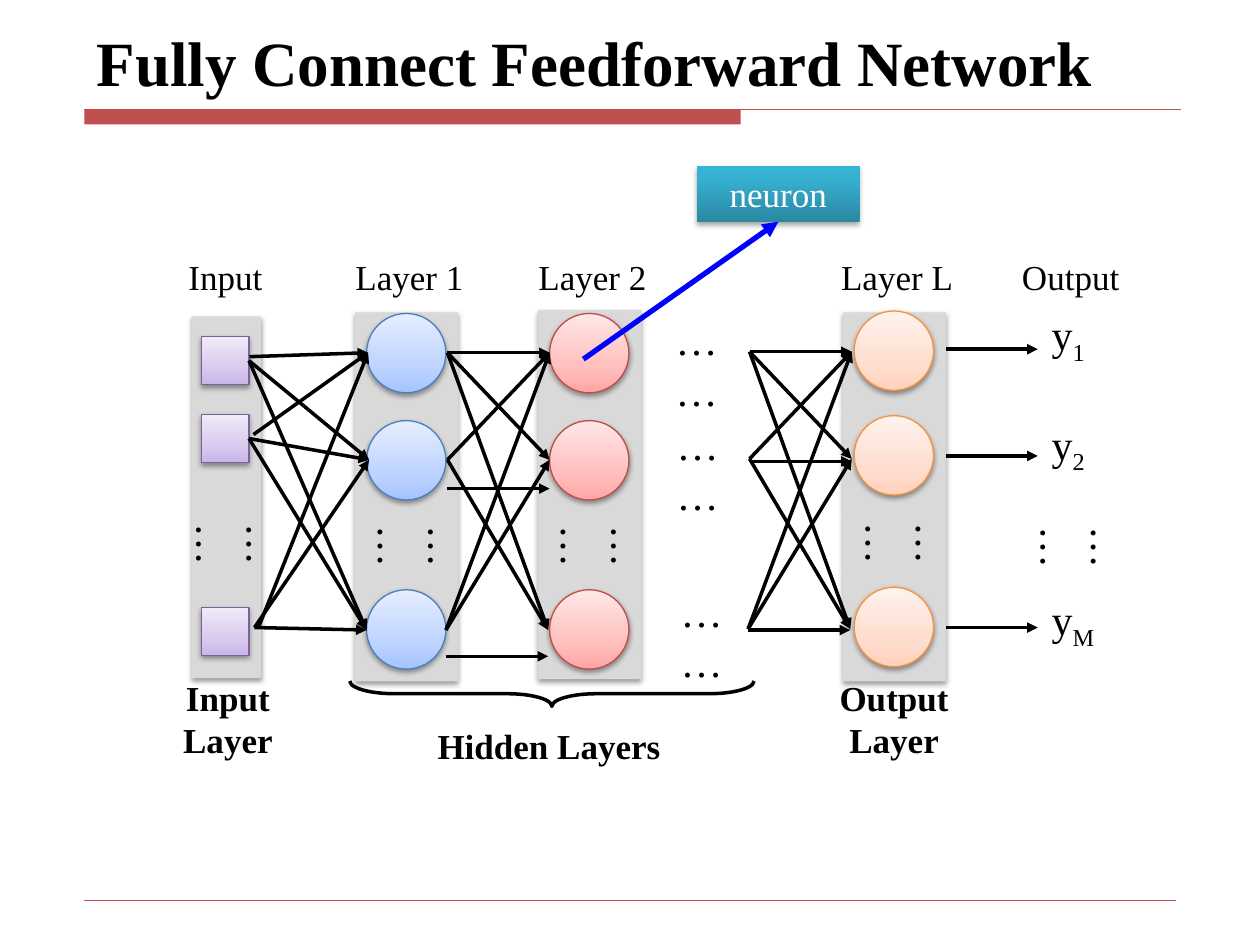
from copy import deepcopy
from itertools import product

from lxml import etree
from pptx import Presentation
from pptx import util as u
from pptx.dml.color import RGBColor
from pptx.enum import shapes as sh, text as t
from pptx.oxml.ns import qn

BLACK = RGBColor(0, 0, 0)
WHITE = RGBColor(255, 255, 255)
GREY = RGBColor(0xD9, 0xD9, 0xD9)
BRICK = RGBColor(0xC0, 0x50, 0x4D)
BLUE = RGBColor(0, 0, 0xFF)
VIOLET = [RGBColor(0xC9, 0xB5, 0xE8), RGBColor(0xD8, 0xCB, 0xEE), RGBColor(0xF0, 0xEA, 0xF9)]
SKY = [RGBColor(0xA4, 0xC4, 0xFF), RGBColor(0xBF, 0xD4, 0xFF), RGBColor(0xE6, 0xEE, 0xFF)]
ROSE = [RGBColor(0xFF, 0xA6, 0xA5), RGBColor(0xFF, 0xC0, 0xBF), RGBColor(0xFF, 0xE7, 0xE7)]
PEACH = [RGBColor(0xFF, 0xD2, 0xBD), RGBColor(0xFF, 0xDE, 0xD0), RGBColor(0xFF, 0xF2, 0xED)]
TEAL = [RGBColor(0x2A, 0x88, 0xA2), RGBColor(0x37, 0xB1, 0xD2), RGBColor(0x34, 0xB4, 0xD6)]
VIOLET_EDGE = RGBColor(0x7D, 0x60, 0xA0)
SKY_EDGE = RGBColor(0x4B, 0x7E, 0xBC)
ROSE_EDGE = RGBColor(0xBF, 0x4C, 0x48)
PEACH_EDGE = RGBColor(0xF6, 0x92, 0x40)

RECT = sh.MSO_SHAPE.RECTANGLE
OVAL = sh.MSO_SHAPE.OVAL
LABEL_TOP = 5.03


def cm(*vals):
    return [u.Cm(v) for v in vals]


def write(shape, words, sub="", align=t.PP_ALIGN.CENTER, **fmt):
    """Fill the shape with one paragraph, ending in an optional subscript."""
    frame = shape.text_frame
    frame.word_wrap = True
    para = frame.paragraphs[0]
    para.alignment = align
    look = {"name": "Times New Roman", "size": u.Pt(20), "bold": False}
    look["size"] = u.Pt(fmt.pop("size", 20))
    look.update(fmt)
    color = look.pop("color", BLACK)
    for part in filter(None, (words, sub)):
        run = para.add_run()
        run.text = part
        for key, val in look.items():
            setattr(run.font, key, val)
        run.font.color.rgb = color
    if sub:
        run.font._element.set("baseline", "-25000")


def label(s, box, words, turn=0, **fmt):
    shape = s.shapes.add_textbox(*cm(*box))
    shape.rotation = turn
    write(shape, words, **fmt)
    return shape


def dots(s, x, y, turn=0):
    label(s, (x, y, 2.13, 2.31), "……", turn, size=24)


def blend(shape, tones, mid):
    """Three-stop gradient that runs from bottom to top."""
    shape.fill.gradient()
    shape.fill.gradient_angle = 90
    stops = shape._element.spPr.find(qn("a:gradFill")).find(qn("a:gsLst"))
    stops.insert(1, deepcopy(stops[0]))
    for stop, tone, pos in zip(shape.fill.gradient_stops, tones, (0, mid, 1)):
        stop.color.rgb = tone
        stop.position = pos


def shade(shape, alpha, dist):
    effects = shape._element.spPr.find(qn("a:effectLst"))
    cast = etree.SubElement(effects, qn("a:outerShdw"), blurRad=str(u.Pt(3.1)),
                            dist=str(u.Pt(dist)), dir="5400000", rotWithShape="0")
    tone = etree.SubElement(cast, qn("a:srgbClr"), val="000000")
    etree.SubElement(tone, qn("a:alpha"), val=str(alpha * 1000))


def block(s, kind, box, fill, edge=None, mid=0.35, alpha=38, dist=1.6):
    """Shadowed shape; fill is one colour or a list of gradient tones."""
    shape = s.shapes.add_shape(kind, *cm(*box))
    shape.shadow.inherit = False
    if isinstance(fill, list):
        blend(shape, fill, mid)
    else:
        shape.fill.solid()
        shape.fill.fore_color.rgb = fill
    if edge:
        shape.line.color.rgb = edge
        shape.line.width = u.Pt(0.75)
    else:
        shape.line.fill.background()
    if alpha:
        shade(shape, alpha, dist)
    return shape


def link(s, start, end, color=BLACK, width=2, arrow=True):
    line = s.shapes.add_connector(sh.MSO_CONNECTOR.STRAIGHT, *cm(*start, *end))
    line.line.color.rgb = color
    line.line.width = u.Pt(width)
    props = line._element.spPr
    if arrow:
        etree.SubElement(props.find(qn("a:ln")), qn("a:tailEnd"), type="triangle")
    etree.SubElement(props, qn("a:effectLst"))
    return line


def header(s, x, y, w):
    block(s, RECT, (x, y, 13.23, 0.3), BRICK, alpha=0)
    link(s, (x, y), (x + w, y), BRICK, 0.75, False)
    title = label(s, (x, 0.53, 22.2, 1.6), "Fully Connect Feedforward Network",
                  align=t.PP_ALIGN.LEFT, size=36, bold=True)
    title.text_frame.vertical_anchor = t.MSO_ANCHOR.BOTTOM


def inputs(s, x, y):
    """Input column; returns its squares."""
    block(s, RECT, (x, y, 1.4, 7.29), GREY)
    label(s, (x - 0.89, LABEL_TOP, 3.15, 1.12), "Input")
    dots(s, x - 0.13, y + 3.45, 90)
    return [block(s, RECT, (x + 0.2, y + dy, 0.96, 0.96), VIOLET, VIOLET_EDGE)
            for dy in (0.41, 1.98, 5.87)]


def layer(s, x, y, name, rows, tones, edge):
    block(s, RECT, (x, y, 2.08, 7.44), GREY)
    label(s, (x - 0.48, LABEL_TOP, 3.15, 1.12), name)
    for dy in rows:
        block(s, OVAL, (x + 0.23, y + dy, 1.6, 1.6), tones, edge)
    dots(s, x + 0.23, y + rows[0] + 3.54, 90)


def mesh(s, x, y, flats):
    """Join each row with each row; flats are the heights of the level arrows."""
    rows = ((0, 0), (0, 2.16), (-0.03, 5.59))
    for (i, (ax, ay)), (j, (bx, by)) in product(enumerate(rows), repeat=2):
        if i == j:
            ay = by = flats[i]
        link(s, (x + ax, y + ay), (x + bx + 2.06, y + by))


def fan(s, squares):
    """Join the input squares with the neurons of the first layer."""
    ends = ((7.42, 7.11), (7.44, 9.27), (7.39, 12.7))
    starts = ((5.03, 7.24), (5, 8.84), (5.13, 12.65))
    firsts = ((5.03, 7.19), (5.11, 8.76), (5.21, 12.65))
    for i, j in product(range(3), repeat=2):
        line = link(s, starts[i] if j or i == 1 and j else firsts[i], ends[j])
        if i < 2 and j:
            line.begin_connect(squares[i], 3)


def outputs(s, x):
    label(s, (x - 0.91, LABEL_TOP, 3.15, 1.12), "Output")
    for y, mark, top in ((7.04, "1", 6.1), (9.19, "2", 8.31), (12.65, "M", 11.84)):
        link(s, (x - 2.8, y), (x, y))
        label(s, (x + 0.03, top, 1.75, 1.27), "y", sub=mark,
              align=t.PP_ALIGN.LEFT, size=24)
    dots(s, x - 0.17, 9.88, 90)


def captions(s, y):
    for x, top, w, words in ((16.41, y, 3.23, "Output Layer"),
                             (8.2, y + 0.97, 5.74, "Hidden Layers"),
                             (3.3, y, 2.59, "Input Layer")):
        label(s, (x, top, w, 1.96 if top == y else 1.12), words, bold=True)
    brace = s.shapes.add_shape(sh.MSO_SHAPE.RIGHT_BRACE, *cm(10.87, 9.91, 0.51, 8.15))
    brace.rotation = 90
    brace.adjustments[0] = 1.76
    brace.shadow.inherit = False
    brace.fill.background()
    brace.line.color.rgb = BLACK
    brace.line.width = u.Pt(2)


def callout(s, box):
    tag = block(s, RECT, box, TEAL, mid=0.8, alpha=35, dist=1.8)
    write(tag, "neuron", color=WHITE)
    line = link(s, (11.76, 7.24), (box[0] + box[2] / 2, box[1] + box[3]), BLUE, 3)
    line.end_connect(tag, 2)


def main():
    deck = Presentation()
    deck.slide_width, deck.slide_height = cm(25.4, 19.05)
    s = deck.slides.add_slide(deck.slide_layouts[6])
    header(s, 1.7, 2.21, 22.1)
    link(s, (1.7, 18.14), (23.7, 18.14), BRICK, 0.25, False)
    captions(s, 13.51)
    outputs(s, 20.92)
    squares = inputs(s, 3.86, 6.38)
    layer(s, 7.16, 6.3, "Layer 1", (0.02, 2.18, 5.59), SKY, SKY_EDGE)
    layer(s, 10.85, 6.25, "Layer 2", (0.07, 2.23, 5.64), ROSE, ROSE_EDGE)
    layer(s, 16.99, 6.3, "Layer L", (-0.03, 2.08, 5.54), PEACH, PEACH_EDGE)
    for x, y in ((12.98, 6.2), (13, 8.31), (13.08, 11.68)):
        dots(s, x, y)
    mesh(s, 9.02, 7.11, (0, 2.74, 6.12))
    fan(s, squares)
    mesh(s, 15.11, 7.09, (0, 2.21, 5.61))
    callout(s, (14.05, 3.35, 3.28, 1.12))
    deck.save("out.pptx")


if __name__ == "__main__":
    main()
